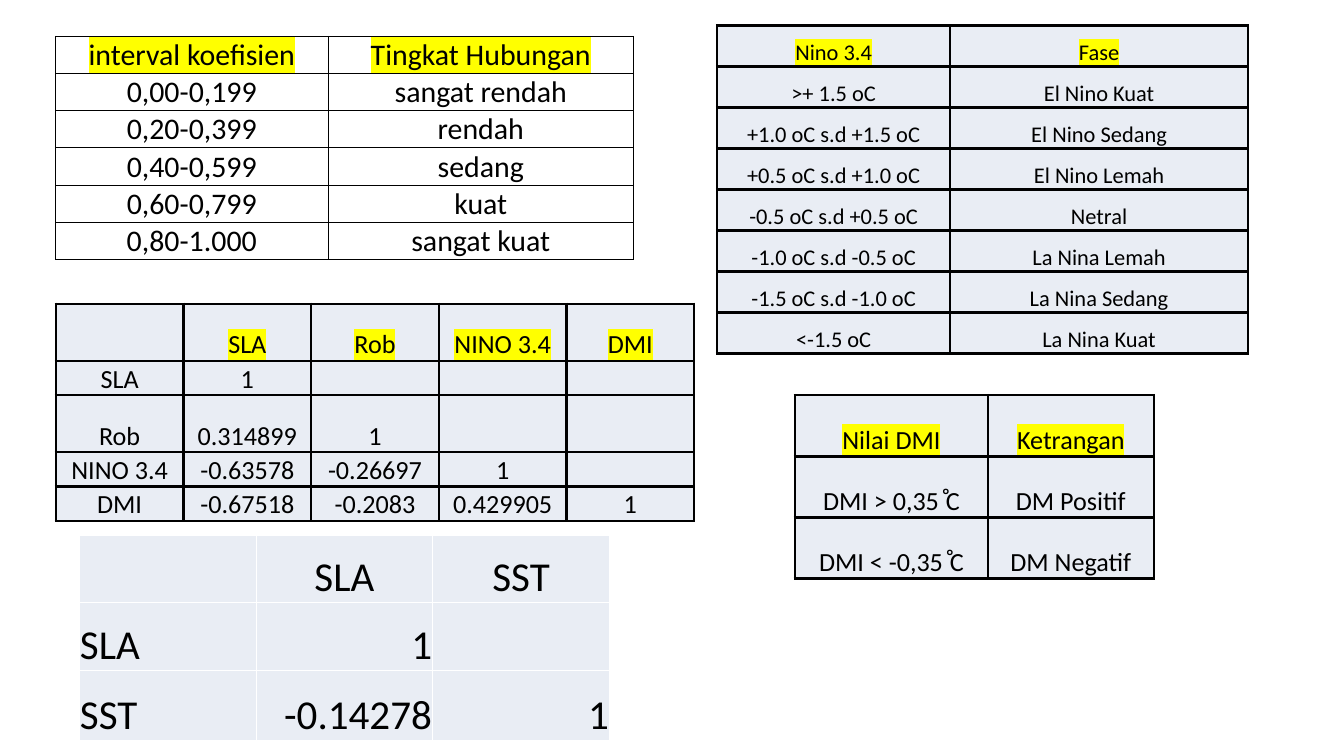
from lxml.etree import SubElement
from pptx import Presentation
from pptx.dml.color import RGBColor
from pptx.enum.text import MSO_ANCHOR, PP_ALIGN
from pptx.oxml import parse_xml
from pptx.oxml.ns import nsdecls, qn
from pptx.util import Inches, Pt

BLACK = RGBColor(0x00, 0x00, 0x00)
WHITE = RGBColor(0xFF, 0xFF, 0xFF)
YELLOW = RGBColor(0xFF, 0xFF, 0x00)
PALE_BLUE = RGBColor(0xE9, 0xED, 0xF4)
GRID_COLUMNS, GRID_ROWS = 20, 11.25


def centred(row, column):
    return PP_ALIGN.CENTER


def matrix_alignment(row, column):
    if row == 0:
        return PP_ALIGN.CENTER
    return PP_ALIGN.LEFT if column == 0 else PP_ALIGN.RIGHT


class TableSlide:
    """Draws styled tables on one slide, measured in grid columns and rows."""

    font_name = "Calibri"

    def __init__(self, presentation):
        self.slide = presentation.slides.add_slide(presentation.slide_layouts[6])
        self.column = presentation.slide_width / GRID_COLUMNS
        self.row = presentation.slide_height / GRID_ROWS

    def table(self, left, top, widths, heights, texts, size, fill=PALE_BLUE,
              border=BLACK, border_width=3, highlight=True, alignment=centred):
        frame = self.slide.shapes.add_table(
            len(heights), len(widths), round(left * self.column), round(top * self.row),
            round(sum(widths) * self.column), round(sum(heights) * self.row))
        table = frame.table
        table.first_row = table.horz_banding = False
        for column, width in zip(table.columns, widths):
            column.width = round(width * self.column)
        for row, height in zip(table.rows, heights):
            row.height = round(height * self.row)
        for row, values in enumerate(texts):
            for column, text in enumerate(values):
                cell = table.cell(row, column)
                self.cell_style(cell, fill, border, border_width)
                if text:
                    self.cell_text(cell, text, size, alignment(row, column),
                                   highlight and row == 0)

    def cell_style(self, cell, fill, border, border_width):
        cell.vertical_anchor = MSO_ANCHOR.BOTTOM
        cell.margin_left = cell.margin_right = cell.margin_top = Inches(0.01)
        cell.margin_bottom = 0
        if fill is None:
            cell.fill.background()
        else:
            cell.fill.solid()
            cell.fill.fore_color.rgb = fill
        properties = cell._tc.get_or_add_tcPr()
        for position, side in enumerate("LRTB"):
            properties.insert(position, parse_xml(
                f'<a:ln{side} {nsdecls("a")} w="{Pt(border_width)}"><a:solidFill>'
                f'<a:srgbClr val="{border}"/></a:solidFill></a:ln{side}>'))

    def cell_text(self, cell, text, size, alignment, highlighted):
        paragraph = cell.text_frame.paragraphs[0]
        paragraph.alignment = alignment
        run = paragraph.add_run()
        run.text = text
        paragraph.font.name = self.font_name
        paragraph.font.size = Pt(size)
        paragraph.font.color.rgb = BLACK
        if highlighted:
            highlight = SubElement(run._r.get_or_add_rPr(), qn("a:highlight"))
            SubElement(highlight, qn("a:srgbClr")).set("val", str(YELLOW))


def main():
    presentation = Presentation()
    presentation.slide_width = Inches(20)
    presentation.slide_height = Inches(11.25)
    slide = TableSlide(presentation)

    slide.table(0.83, 0.54, [4.05, 4.55], [0.54] * 6, [
        ("interval koefisien", "Tingkat Hubungan"),
        ("0,00-0,199", "sangat rendah"),
        ("0,20-0,399", "rendah"),
        ("0,40-0,599", "sedang"),
        ("0,60-0,799", "kuat"),
        ("0,80-1.000", "sangat kuat"),
    ], size=32, fill=None, border_width=1)

    slide.table(0.83, 4.52, [1.9] * 5, [0.85, 0.51, 0.85, 0.51, 0.51], [
        ("", "SLA", "Rob", "NINO 3.4", "DMI"),
        ("SLA", "1", "", "", ""),
        ("Rob", "0.314899", "1", "", ""),
        ("NINO 3.4", "-0.63578", "-0.26697", "1", ""),
        ("DMI", "-0.67518", "-0.2083", "0.429905", "1"),
    ], size=28)

    slide.table(10.67, 0.38, [3.47, 4.43], [0.61] * 8, [
        ("Nino 3.4", "Fase"),
        (">+ 1.5 oC", "El Nino Kuat"),
        ("+1.0 oC s.d +1.5 oC", "El Nino Sedang"),
        ("+0.5 oC s.d +1.0 oC", "El Nino Lemah"),
        ("-0.5 oC s.d +0.5 oC", "Netral"),
        ("-1.0 oC s.d -0.5 oC", "La Nina Lemah"),
        ("-1.5 oC s.d -1.0 oC", "La Nina Sedang"),
        ("<-1.5 oC", "La Nina Kuat"),
    ], size=24)

    slide.table(11.83, 5.88, [2.87, 2.47], [0.91] * 3, [
        ("Nilai DMI", "Ketrangan"),
        ("DMI > 0,35 ̊C", "DM Positif"),
        ("DMI < -0,35 ̊C", "DM Negatif"),
    ], size=28)

    slide.table(1.18, 7.96, [2.63] * 3, [1.01, 1.01, 1.04], [
        ("", "SLA", "SST"),
        ("SLA", "1", ""),
        ("SST", "-0.14278", "1"),
    ], size=44, border=WHITE, border_width=1, highlight=False,
        alignment=matrix_alignment)

    presentation.save("out.pptx")


if __name__ == "__main__":
    main()
